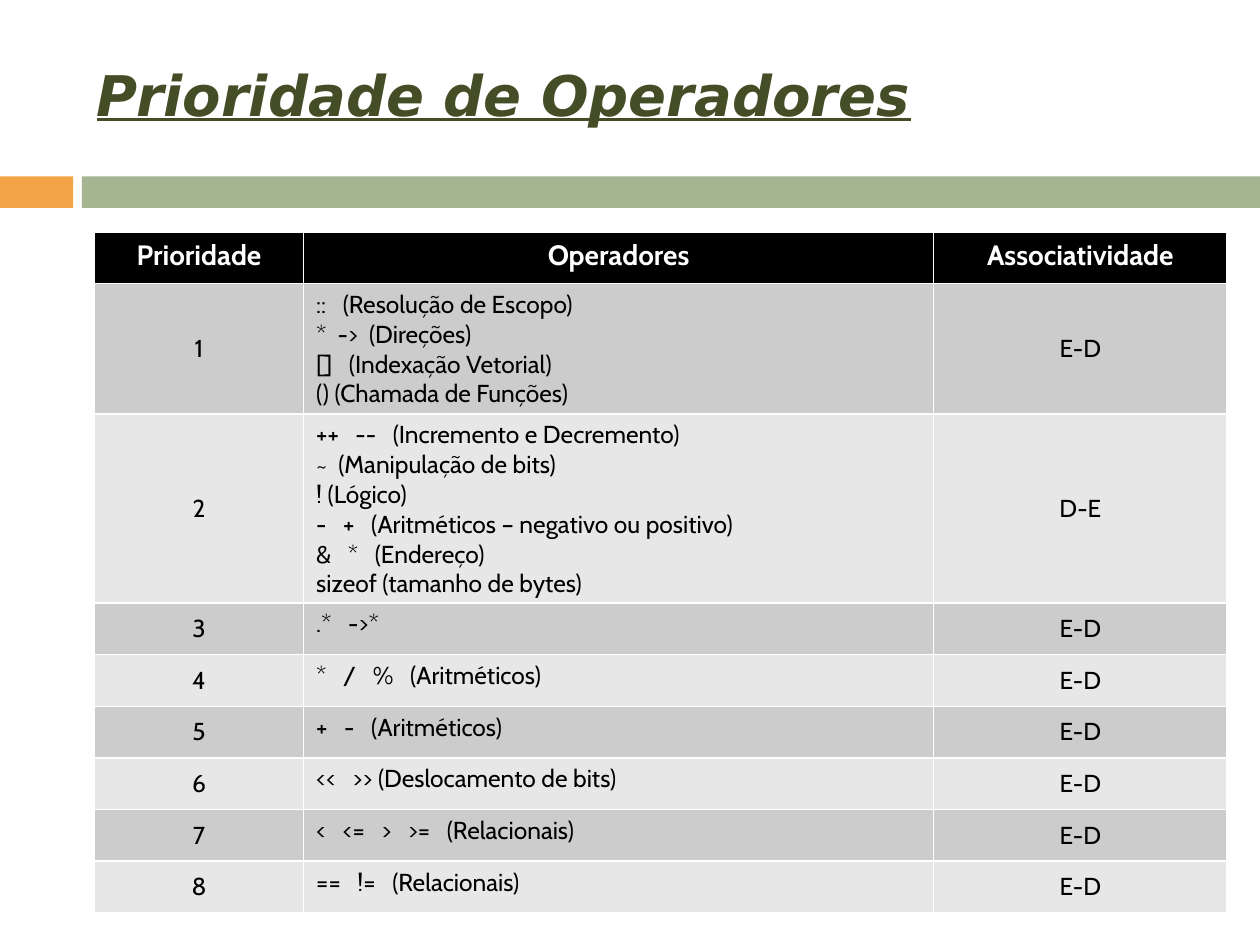
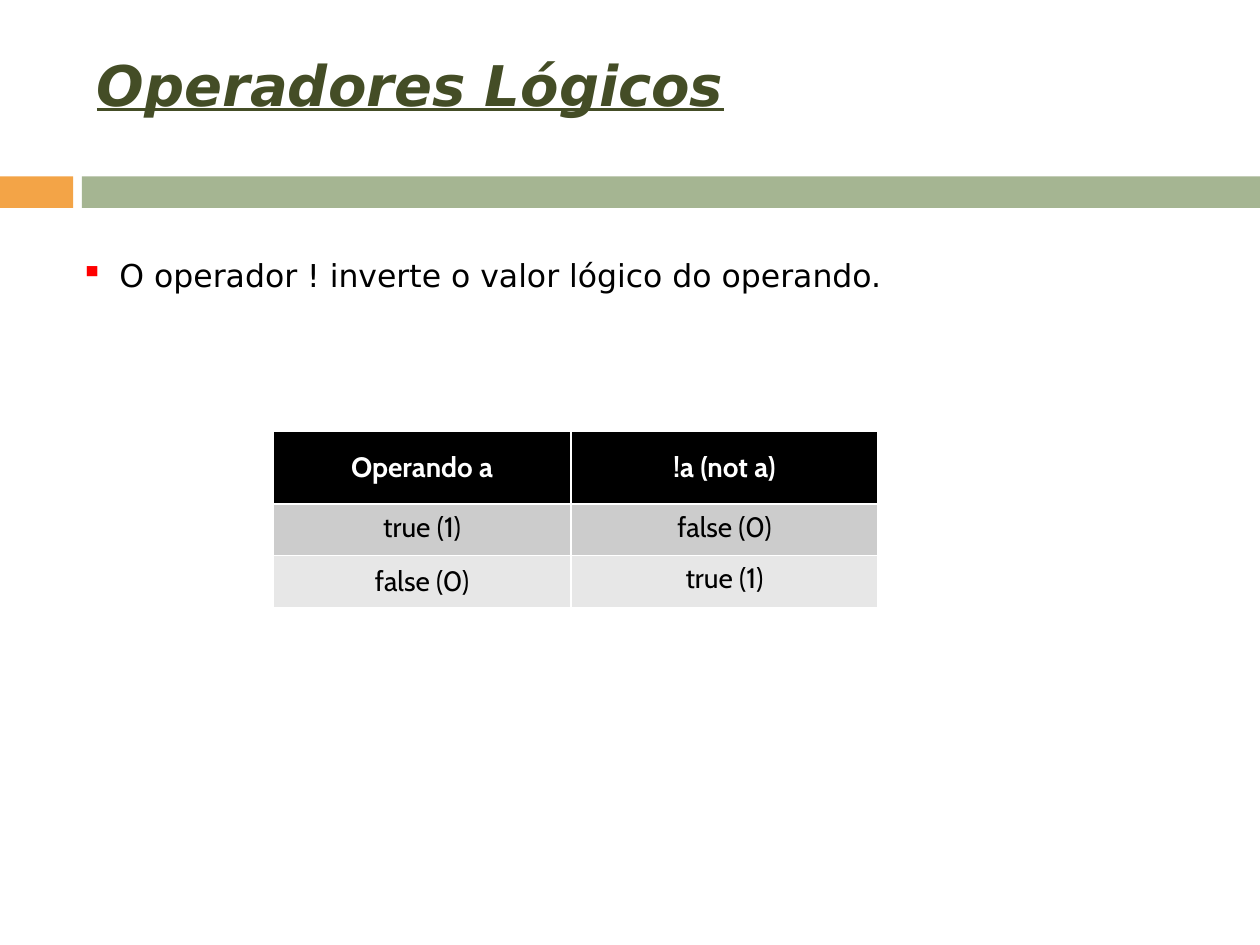
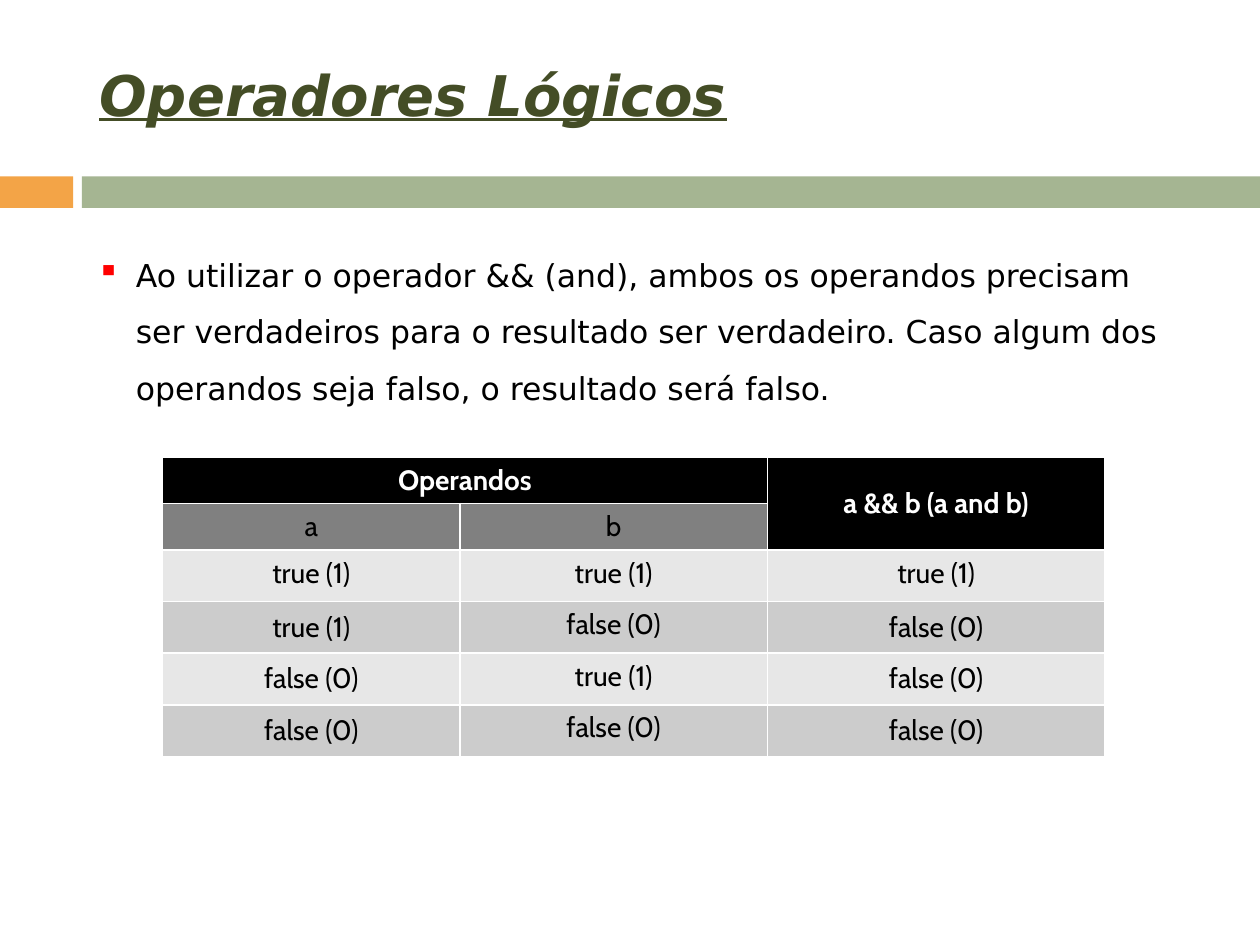
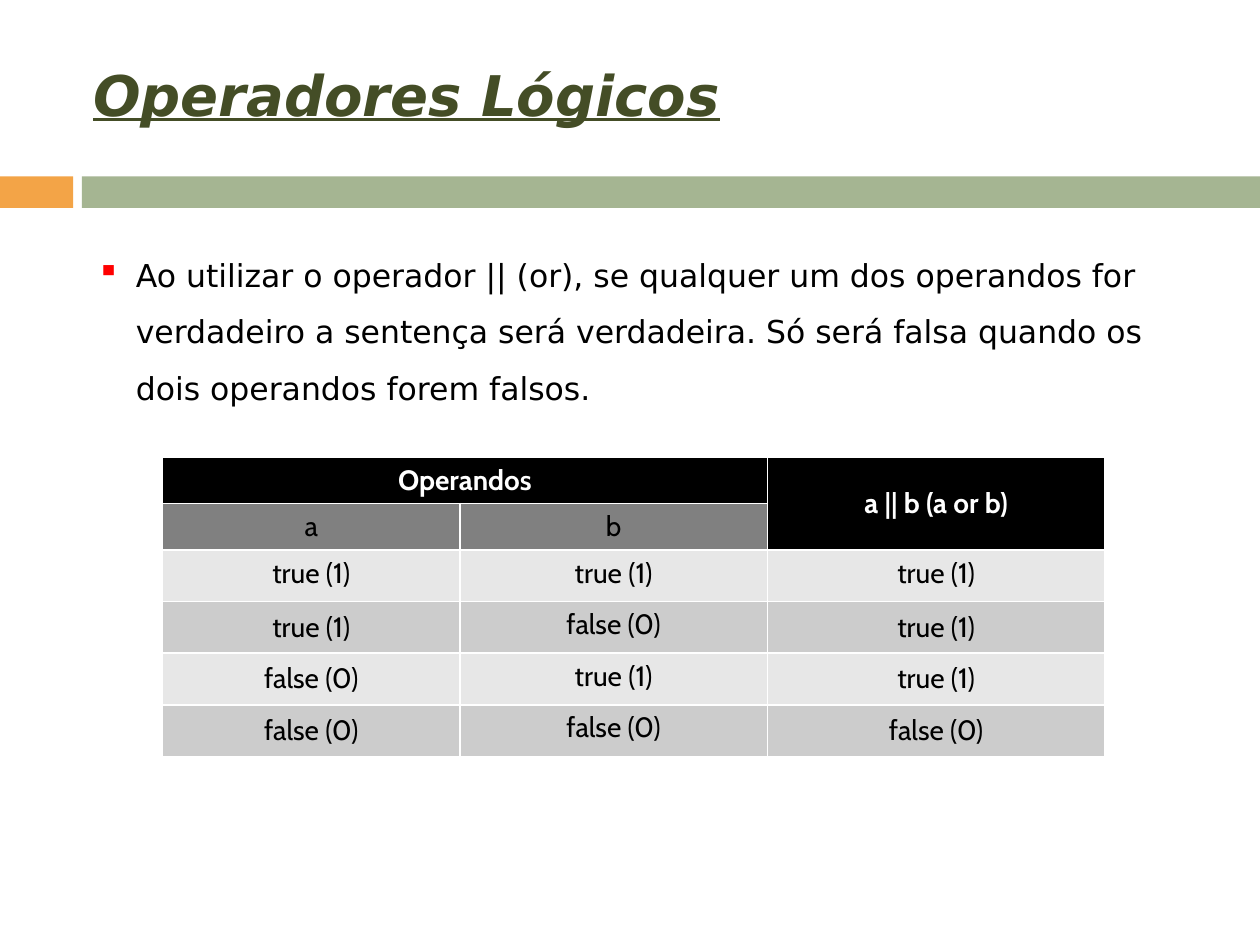
from lxml import etree
from pptx import Presentation
from pptx import util as u
from pptx.dml.color import RGBColor
from pptx.enum import shapes, text
from pptx.oxml.ns import qn

TITLE_FONT = "DejaVu Sans"
TABLE_FONT = "Cabin"
BLACK, WHITE, GRAY = "000000", "FFFFFF", "808080"
STRIPES = ["CCCCCC", "E7E7E7"]
BANDS = [(0, 0.58, "F3A447"), (0.65, 9.35, "A5B592")]
TRUE, FALSE = "true (1)", "false (0)"


def color(value):
    return RGBColor.from_string(value)


def add_run(paragraph, content, size, font, fill, bold=False):
    run = paragraph.add_run()
    run.text = content
    run.font.size = u.Pt(size)
    run.font.name = font
    run.font.color.rgb = color(fill)
    run.font.bold = bold
    return run


priority_rows = [
    ["Prioridade", "Operadores", "Associatividade"],
    ["1", "::   (Resolução de Escopo)\n*  ->  (Direções)\n"
          "[]   (Indexação Vetorial)\n() (Chamada de Funções)", "E-D"],
    ["2", "++   --   (Incremento e Decremento)\n~  (Manipulação de bits)\n! (Lógico)\n"
          "-   +   (Aritméticos – negativo ou positivo)\n&   *   (Endereço)\n"
          "sizeof (tamanho de bytes)", "D-E"],
    ["3", ".*   ->*", "E-D"],
    ["4", "*   /   %   (Aritméticos)", "E-D"],
    ["5", "+   -   (Aritméticos)", "E-D"],
    ["6", "<<   >> (Deslocamento de bits)", "E-D"],
    ["7", "<   <=   >   >=   (Relacionais)", "E-D"],
    ["8", "==   !=   (Relacionais)", "E-D"],
]
not_rows = [["Operando a", "!a (not a)"], [TRUE, FALSE], [FALSE, TRUE]]
operand_pairs = [(TRUE, TRUE), (TRUE, FALSE), (FALSE, TRUE), (FALSE, FALSE)]
and_rows = [["Operandos", "", "a && b (a and b)"], ["a", "b", ""]]
or_rows = [["Operandos", "", "a || b (a or b)"], ["a", "b", ""]]
for a, b in operand_pairs:
    and_rows.append([a, b, TRUE if a == b == TRUE else FALSE])
    or_rows.append([a, b, TRUE if TRUE in (a, b) else FALSE])

two_operands = {
    "table_at": (1.29, 3.63),
    "columns": [2.36, 2.44, 2.68],
    "heights": [0.29] * 2 + [0.41] * 4,
    "header_rows": 2,
}
pages = [
    {"title": "Prioridade de Operadores", "title_at": (0.67, 0.25), "rows": priority_rows,
     "table_at": (0.75, 1.84), "columns": [1.66, 5, 2.33], "heights": [0.41] * 9,
     "header_rows": 1},
    {"title": "Operadores Lógicos", "title_at": (0.67, 0.17), "rows": not_rows,
     "body": "O operador ! inverte o valor lógico do operando.",
     "body_box": (0.54, 1.83, 8.74, 0.49),
     "table_at": (2.17, 3.42), "columns": [2.36, 2.44], "heights": [0.58, 0.41, 0.41],
     "header_rows": 1},
    {"title": "Operadores Lógicos", "title_at": (0.69, 0.25), "rows": and_rows,
     "body": "Ao utilizar o operador && (and), ambos os operandos precisam ser verdadeiros "
             "para o resultado ser verdadeiro. Caso algum dos operandos seja falso, "
             "o resultado será falso.",
     "body_box": (0.67, 1.83, 8.74, 1.46), **two_operands},
    {"title": "Operadores Lógicos", "title_at": (0.64, 0.25), "rows": or_rows,
     "body": "Ao utilizar o operador || (or), se qualquer um dos operandos for verdadeiro "
             "a sentença será verdadeira. Só será falsa quando os dois operandos forem falsos.",
     "body_box": (0.67, 1.83, 8.74, 1.46), **two_operands},
]

presentation = Presentation()
presentation.slide_width = u.Inches(10)
presentation.slide_height = u.Inches(7.5)

for page in pages:
    slide = presentation.slides.add_slide(presentation.slide_layouts[6])

    for left, width, fill in BANDS:
        band = slide.shapes.add_shape(
            shapes.MSO_SHAPE.RECTANGLE,
            u.Inches(left), u.Inches(1.4), u.Inches(width), u.Inches(0.25))
        band.shadow.inherit = False
        band.fill.solid()
        band.fill.fore_color.rgb = color(fill)
        band.line.fill.background()

    left, top = page["title_at"]
    title = slide.shapes.add_textbox(
        u.Inches(left), u.Inches(top), u.Inches(6.92), u.Inches(1))
    title.text_frame.word_wrap = True
    title.text_frame.vertical_anchor = text.MSO_ANCHOR.MIDDLE
    run = add_run(title.text_frame.paragraphs[0], page["title"], 32, TITLE_FONT, "444D26", True)
    run.font.italic = True
    run.font.underline = True

    if "body" in page:
        body = slide.shapes.add_textbox(*[u.Inches(length) for length in page["body_box"]])
        body.text_frame.word_wrap = True
        body.text_frame.auto_size = text.MSO_AUTO_SIZE.SHAPE_TO_FIT_TEXT
        paragraph = body.text_frame.paragraphs[0]
        paragraph.line_spacing = 1.5
        add_run(paragraph, page["body"], 18, TITLE_FONT, BLACK)
        properties = paragraph._p.get_or_add_pPr()
        properties.set("marL", str(u.Inches(0.31)))
        properties.set("indent", str(-u.Inches(0.31)))
        bullet_color = etree.SubElement(properties, qn("a:buClr"))
        etree.SubElement(bullet_color, qn("a:srgbClr"), val="FF0000")
        etree.SubElement(properties, qn("a:buChar"), char="▪")

    rows, columns, header_rows = page["rows"], page["columns"], page["header_rows"]
    is_priority = rows is priority_rows
    left, top = page["table_at"]
    table = slide.shapes.add_table(
        len(rows), len(columns), u.Inches(left), u.Inches(top),
        u.Inches(sum(columns)), u.Inches(sum(page["heights"]))).table
    for column, width in zip(table.columns, columns):
        column.width = u.Inches(width)
    for row, height in zip(table.rows, page["heights"]):
        row.height = u.Inches(height)
    if header_rows == 2:
        table.cell(0, 0).merge(table.cell(0, 1))
        table.cell(0, 2).merge(table.cell(1, 2))

    for row_index, row in enumerate(rows):
        for column_index, content in enumerate(row):
            cell = table.cell(row_index, column_index)
            is_title = row_index == 0
            is_operators = is_priority and column_index == 1 and not is_title
            if is_title or (header_rows == 2 and row_index == 1 and column_index == 2):
                fill = BLACK
            elif row_index < header_rows:
                fill = GRAY
            else:
                fill = STRIPES[(row_index - 1) % 2]
            cell.fill.solid()
            cell.fill.fore_color.rgb = color(fill)

            if is_priority:
                at_top = is_title or column_index == 1
            else:
                at_top = row_index == header_rows or (
                    row_index > header_rows and column_index == 1)
            cell.vertical_anchor = text.MSO_ANCHOR.TOP if at_top else text.MSO_ANCHOR.MIDDLE

            if cell.is_spanned:
                continue
            size = 14 if is_priority and not is_title else 16
            for line_index, line in enumerate(content.split("\n")):
                frame = cell.text_frame
                paragraph = frame.add_paragraph() if line_index else frame.paragraphs[0]
                paragraph.alignment = text.PP_ALIGN.LEFT if is_operators else text.PP_ALIGN.CENTER
                add_run(paragraph, line, size, TABLE_FONT, WHITE if is_title else BLACK, is_title)

presentation.save("out.pptx")
